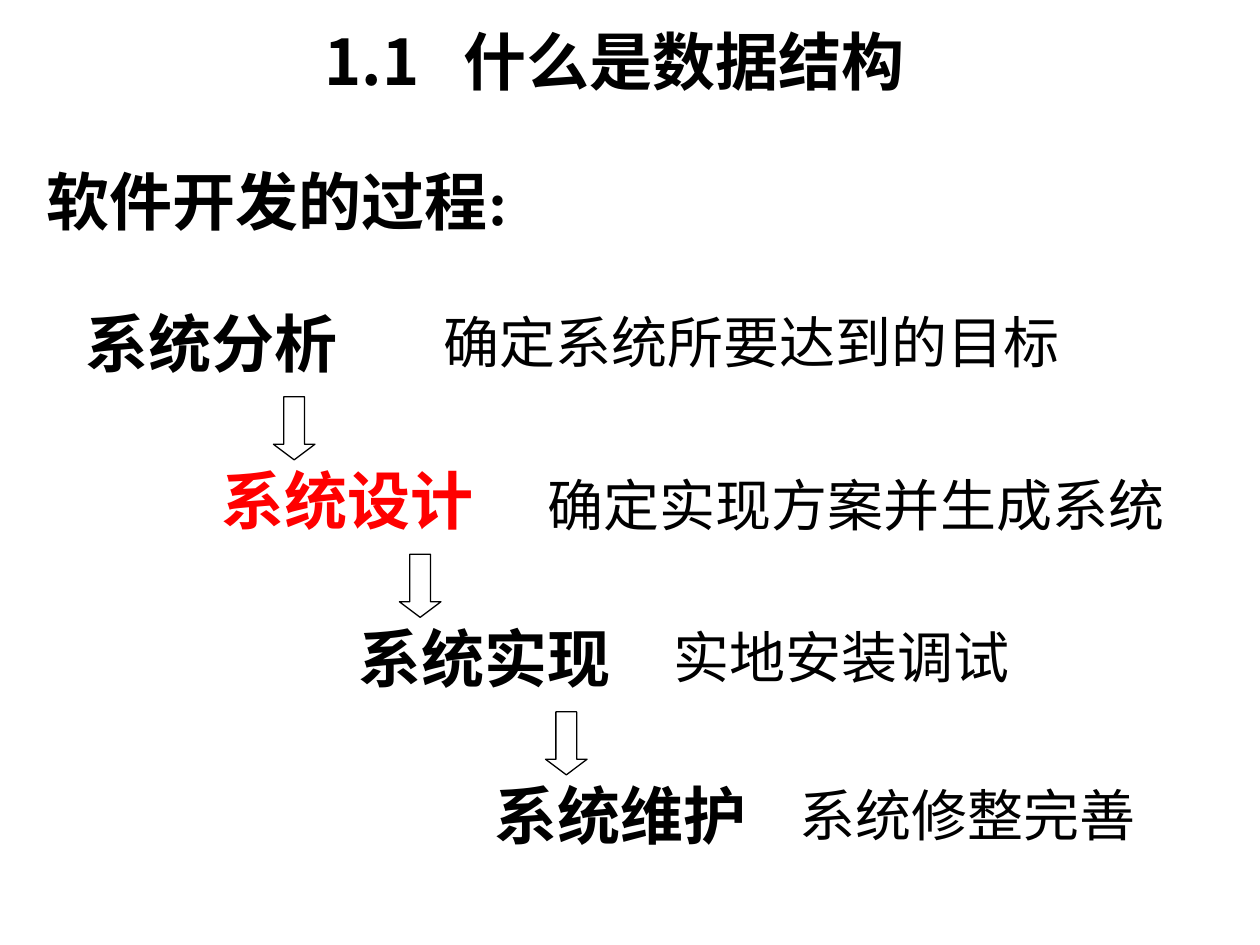
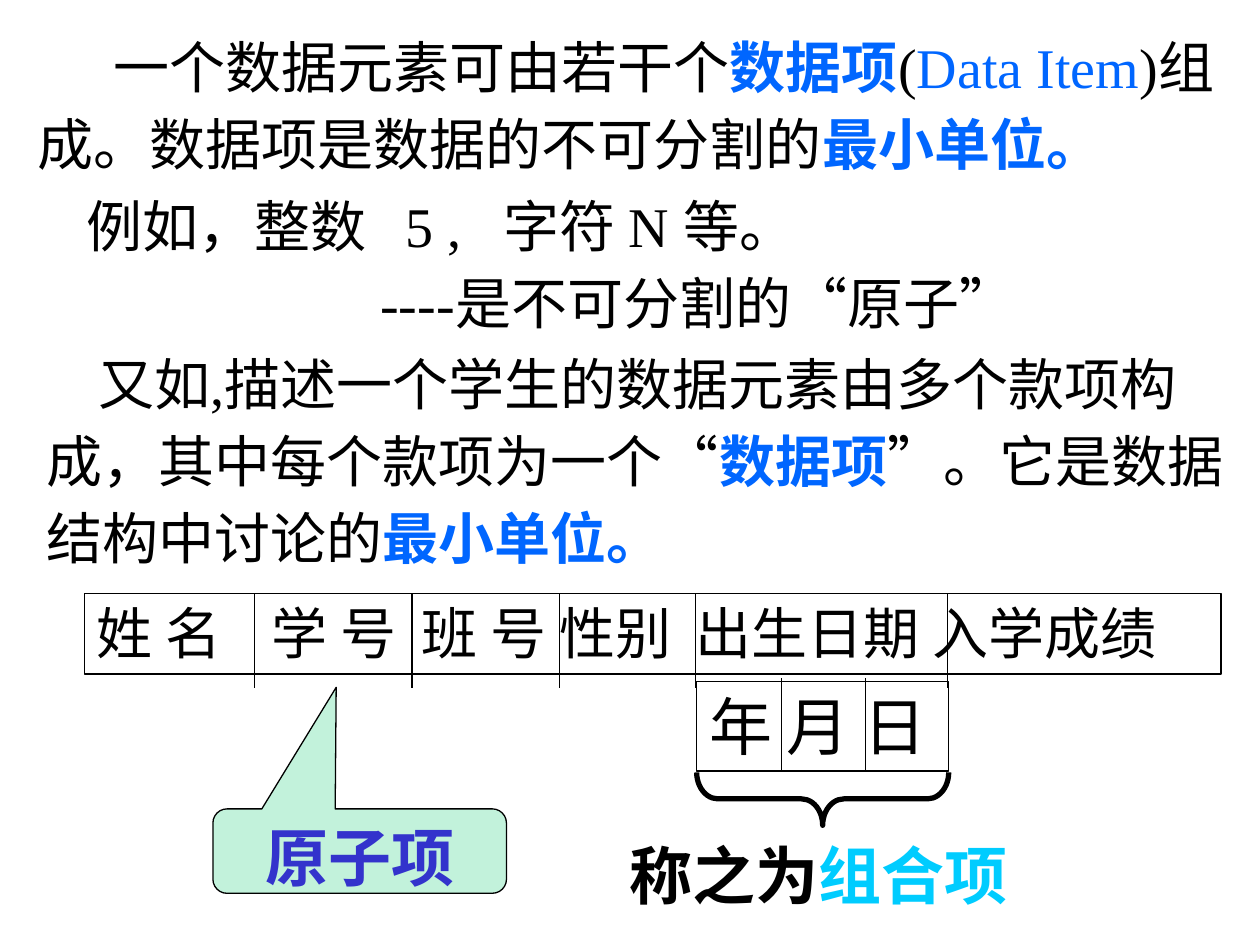
"""Build two slides on software development and data items."""
import pptx
import pptx.dml.color
import pptx.enum.lang
import pptx.enum.shapes
import pptx.enum.text
import pptx.oxml
import pptx.oxml.ns
import pptx.util

SHAPE = pptx.enum.shapes.MSO_SHAPE
LATIN, CJK = "Times New Roman", "Noto Sans CJK SC"
BLACK, RED, BLUE, CYAN, INDIGO, MINT = (
    "000000", "FF0000", "0066FF", "00CCFF", "3333CC", "C2F2DB")
HEAD, BODY = 36, 32
COLS, ROWS = 10, 7.5
STEP = 1.25


def grid(n):
    """Turn grid units into a length."""
    return pptx.util.Inches(n)


def rgb(code):
    """Turn a hex string into a colour."""
    return pptx.dml.color.RGBColor.from_string(code)


def style_run(r, size, color, bold, font):
    """Format one run in Latin and Chinese fonts."""
    r.font.size = pptx.util.Pt(size)
    r.font.bold = bold
    r.font.color.rgb = rgb(color)
    r.font.name = font
    r.font.language_id = pptx.enum.lang.MSO_LANGUAGE_ID.SIMPLIFIED_CHINESE
    ea = pptx.oxml.parse_xml(
        f'<a:ea {pptx.oxml.ns.nsdecls("a")} typeface="{CJK}"/>')
    r._r.rPr.find(pptx.oxml.ns.qn("a:latin")).addnext(ea)


def set_tabs(p, stops):
    """Give a paragraph left tab stops."""
    tabs = "".join(f'<a:tab pos="{grid(x)}" algn="l"/>' for x in stops)
    p._p.get_or_add_pPr().append(pptx.oxml.parse_xml(
        f'<a:tabLst {pptx.oxml.ns.nsdecls("a")}>{tabs}</a:tabLst>'))


def write(p, parts, size, bold=False, font=LATIN, leading=1.2, indent=0,
          tabs=(), align=pptx.enum.text.PP_ALIGN.LEFT):
    """Fill a paragraph with (text, colour, bold) parts or a plain string."""
    if isinstance(parts, str):
        parts = [(parts, BLACK, bold)]
    p.alignment = align
    p.line_spacing = pptx.util.Pt(round(size * leading))
    if indent:
        p._p.get_or_add_pPr().set("indent", str(grid(indent)))
    if tabs:
        set_tabs(p, tabs)
    for text, color, heavy in parts:
        r = p.add_run()
        r.text = text
        style_run(r, size, color, heavy, font)


def frame(sp):
    """Prepare a shape's text frame and return it."""
    tf = sp.text_frame
    tf.word_wrap = True
    tf.vertical_anchor = pptx.enum.text.MSO_ANCHOR.TOP
    return tf


def add_text(s, x, y, w, h, parts, size, **style):
    """Add a text box with one paragraph and return its frame."""
    tf = frame(s.shapes.add_textbox(grid(x), grid(y), grid(w), grid(h)))
    write(tf.paragraphs[0], parts, size, **style)
    return tf


def add_body(s, x, y, w, h, parts, **style):
    """Add a block of body text with open line spacing."""
    return add_text(s, x, y, w, h, parts, BODY, leading=1.375, **style)


def add_shape(s, kind, x, y, w, h, fill=None, weight=0.75, adj=()):
    """Add an outlined preset shape."""
    sp = s.shapes.add_shape(kind, grid(x), grid(y), grid(w), grid(h))
    sp.shadow.inherit = False
    if fill:
        sp.fill.solid()
        sp.fill.fore_color.rgb = rgb(fill)
    else:
        sp.fill.background()
    sp.line.color.rgb = rgb(BLACK)
    sp.line.width = pptx.util.Pt(weight)
    for i, value in enumerate(adj):
        sp.adjustments[i] = value
    return sp


def add_fields(s, x, y, w, h, text, size, dividers, top, **style):
    """Add a record row with vertical dividers."""
    sp = add_shape(s, SHAPE.RECTANGLE, x, y, w, h)
    write(frame(sp).paragraphs[0], text, size, **style)
    for cx in dividers:
        ln = s.shapes.add_connector(
            pptx.enum.shapes.MSO_CONNECTOR.STRAIGHT,
            grid(cx), grid(top), grid(cx), grid(top + 0.75))
        ln.line.color.rgb = rgb(BLACK)
        ln.line.width = pptx.util.Pt(0.75)
        ln._element.spPr.append(pptx.oxml.parse_xml(
            f'<a:effectLst {pptx.oxml.ns.nsdecls("a")}/>'))


def build_process(s):
    """Lay out the stages of software development as a staircase."""
    add_text(s, 2.48, 0.13, 4.97, 0.7, "1.1\t什么是数据结构", HEAD,
             bold=True, font=CJK, tabs=[1.1])
    add_text(s, 0.27, 1.24, 4.17, 0.7, "软件开发的过程:", HEAD, bold=True)
    stages = [
        ("系统分析", BLACK, "确定系统所要达到的目标", 3.42, 2.4),
        ("系统设计", RED, "确定实现方案并生成系统", 4.25, 3.69),
        ("系统实现", BLACK, "实地安装调试", 5.25, 4.9),
        ("系统维护", BLACK, "系统修整完善", 6.25, 6.15),
    ]
    for i, (stage, color, goal, x, y) in enumerate(stages):
        add_text(s, 0.58 + STEP * i * 13 / 15, 2.37 + STEP * i, 2.25, 0.7,
                 [(stage, color, True)], HEAD)
        add_text(s, x, y, 5.17 if i < 2 else 3, 0.63, goal, BODY)
    for i, x in enumerate((2.17, 3.17, 4.33)):
        add_shape(s, SHAPE.DOWN_ARROW, x, 3.15 + STEP * i, 0.33, 0.5,
                  adj=(0.5, 0.375))


def build_data_item(s):
    """Explain data items and show a student record."""
    add_body(s, 0.2, 0.13, 9.61, 1.33, [
        ("一个数据元素可由若干个", BLACK, False), ("数据项", BLUE, True),
        ("(", BLACK, False), ("Data Item", BLUE, False),
        (")组成。数据项是数据的不可分割的", BLACK, False),
        ("最小单位。", BLUE, True)], indent=0.6)
    tf = add_body(s, 0.59, 1.39, 8.42, 1.33, "例如，整数\t5 ,\t字符 N 等。",
                  tabs=[2.53, 3.31])
    write(tf.add_paragraph(), "----是不可分割的“原子”", BODY,
          leading=1.375, indent=2.33)
    add_body(s, 0.27, 2.65, 9.61, 1.94, [
        ("又如,描述一个学生的数据元素由多个款项构成，其中每个款项为一个“",
         BLACK, False),
        ("数据项", BLUE, True), ("”。它是数据结构中讨论的", BLACK, False),
        ("最小单位。", BLUE, True)], indent=0.41)

    add_fields(s, 0.67, 4.71, 9.02, 0.64,
               "姓 名\t学 号\t班 号\t性别\t出生日期\t入学成绩", BODY,
               (2.02, 3.27, 4.44, 5.52, 7.52), 4.71,
               tabs=[1.39, 2.58, 3.67, 4.75, 6.63])
    add_fields(s, 5.53, 5.41, 2, 0.71, "年 月 日", HEAD, (6.2, 6.87), 5.38)

    brace = add_shape(s, SHAPE.LEFT_BRACE, 6.32, 5.34, 0.42, 2, weight=3,
                      adj=(0.4, 0.5))
    brace.rotation = 270
    add_text(s, 4.9, 6.59, 3.3, 0.7,
             [("称之为", BLACK, True), ("组合项", CYAN, True)], HEAD)
    note = add_shape(s, SHAPE.ROUNDED_RECTANGULAR_CALLOUT, 1.69, 6.42, 2.33,
                     0.67, fill=MINT, adj=(-0.08, -1.94, 0.167))
    write(frame(note).paragraphs[0], [("原子项", INDIGO, True)], HEAD,
          align=pptx.enum.text.PP_ALIGN.CENTER)


def main():
    """Build and save the presentation."""
    prs = pptx.Presentation()
    prs.slide_width, prs.slide_height = grid(COLS), grid(ROWS)
    for build in (build_process, build_data_item):
        build(prs.slides.add_slide(prs.slide_layouts[6]))
    prs.save("out.pptx")


if __name__ == "__main__":
    main()
